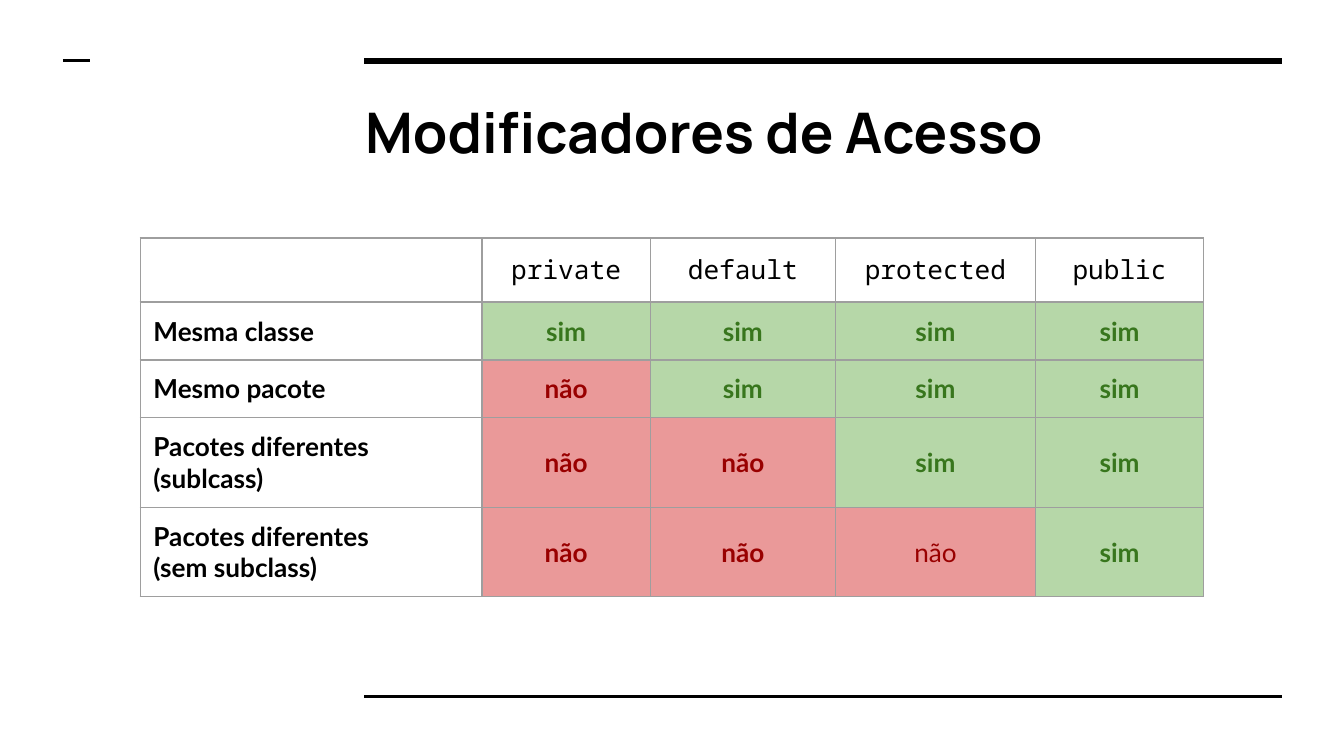
from pptx import Presentation
from pptx.dml.color import RGBColor
from pptx.enum import shapes, text
from pptx.oxml import parse_xml
from pptx.oxml.ns import nsdecls, qn
from pptx.util import Cm, Pt

BLACK = RGBColor(0x00, 0x00, 0x00)
GREEN = RGBColor(0x38, 0x76, 0x1D)
LIGHT_GREEN = RGBColor(0xB6, 0xD7, 0xA8)
RED = RGBColor(0x99, 0x00, 0x00)
LIGHT_RED = RGBColor(0xEA, 0x99, 0x99)
GRAY = RGBColor(0x9E, 0x9E, 0x9E)


def set_font(paragraph, name, size, color, bold):
    font = paragraph.font
    font.name, font.size, font.bold = name, Pt(size), bold
    font.color.rgb = color


def add_borders(cell):
    for side in ("lnL", "lnR", "lnT", "lnB"):
        cell._tc.get_or_add_tcPr().append(parse_xml(
            f'<a:{side} {nsdecls("a")} w="{Pt(0.75)}"><a:solidFill>'
            f'<a:srgbClr val="{GRAY}"/></a:solidFill></a:{side}>'))


prs = Presentation()
prs.slide_width, prs.slide_height = Cm(25.4), Cm(14.29)
slide = prs.slides.add_slide(prs.slide_layouts[5])

# Rules: left, right, height on the slide, weight
for left, right, y, weight in [
    (6.88, 24.23, 1.15, 3),
    (6.88, 24.23, 13.16, 1.5),
    (1.19, 1.7, 1.15, 1.5),
]:
    rule = slide.shapes.add_connector(
        shapes.MSO_CONNECTOR.STRAIGHT, Cm(left), Cm(y), Cm(right), Cm(y))
    rule.line.color.rgb = BLACK
    rule.line.width = Pt(weight)
    rule._element.spPr.append(parse_xml(f'<a:effectLst {nsdecls("a")}/>'))

# Title
title = slide.shapes.title
title.left, title.top, title.width, title.height = Cm(6.65), Cm(1.6), Cm(17.55), Cm(1.75)
heading = title.text_frame
heading.text = "Modificadores de Acesso"
heading.word_wrap = True
heading.auto_size = text.MSO_AUTO_SIZE.NONE
heading.vertical_anchor = text.MSO_ANCHOR.MIDDLE
heading.margin_left = heading.margin_right = Cm(0.25)
heading.margin_top = heading.margin_bottom = Cm(0.25)
heading.paragraphs[0].alignment = text.PP_ALIGN.LEFT
set_font(heading.paragraphs[0], "Manrope", 30, BLACK, True)

# Access table
access = [
    ["", "private", "default", "protected", "public"],
    ["Mesma classe", "sim", "sim", "sim", "sim"],
    ["Mesmo pacote", "não", "sim", "sim", "sim"],
    ["Pacotes diferentes (sublcass)", "não", "não", "sim", "sim"],
    ["Pacotes diferentes \v(sem subclass)", "não", "não", "não", "sim"],
]
widths = [6.46, 3.18, 3.5, 3.78, 3.18]
heights = [1.21, 1.09, 1.09, 1.69, 1.69]
answers = {"sim": (GREEN, LIGHT_GREEN), "não": (RED, LIGHT_RED)}

table = slide.shapes.add_table(
    len(heights), len(widths), Cm(2.65), Cm(4.5), Cm(sum(widths)), Cm(sum(heights))).table
table.first_row = table.horz_banding = False
for column, width in zip(table.columns, widths):
    column.width = Cm(width)
for row, height in zip(table.rows, heights):
    row.height = Cm(height)

for r, words in enumerate(access):
    for c, word in enumerate(words):
        cell = table.cell(r, c)
        cell.text = word
        cell.margin_left = cell.margin_right = Cm(0.25)
        cell.margin_top = cell.margin_bottom = Cm(0.25)
        if r > 2 and c > 0:
            cell.vertical_anchor = text.MSO_ANCHOR.MIDDLE
        add_borders(cell)
        color, shade = answers.get(word, (BLACK, None))
        if shade is None:
            cell.fill.background()
        else:
            cell.fill.solid()
            cell.fill.fore_color.rgb = shade
        paragraph = cell.text_frame.paragraphs[0]
        paragraph.alignment = text.PP_ALIGN.CENTER if c else text.PP_ALIGN.LEFT
        bold = r > 0 and (r, c) != (4, 3)
        set_font(paragraph, "Lato" if r else "Noto Sans Mono", 14, color, bold)

# The empty corner cell takes its line height from the paragraph end mark
corner = table.cell(0, 0).text_frame.paragraphs[0]._p
corner.get_or_add_endParaRPr().set("sz", "1400")
assert corner.find(qn("a:endParaRPr")) is not None

prs.save("out.pptx")
